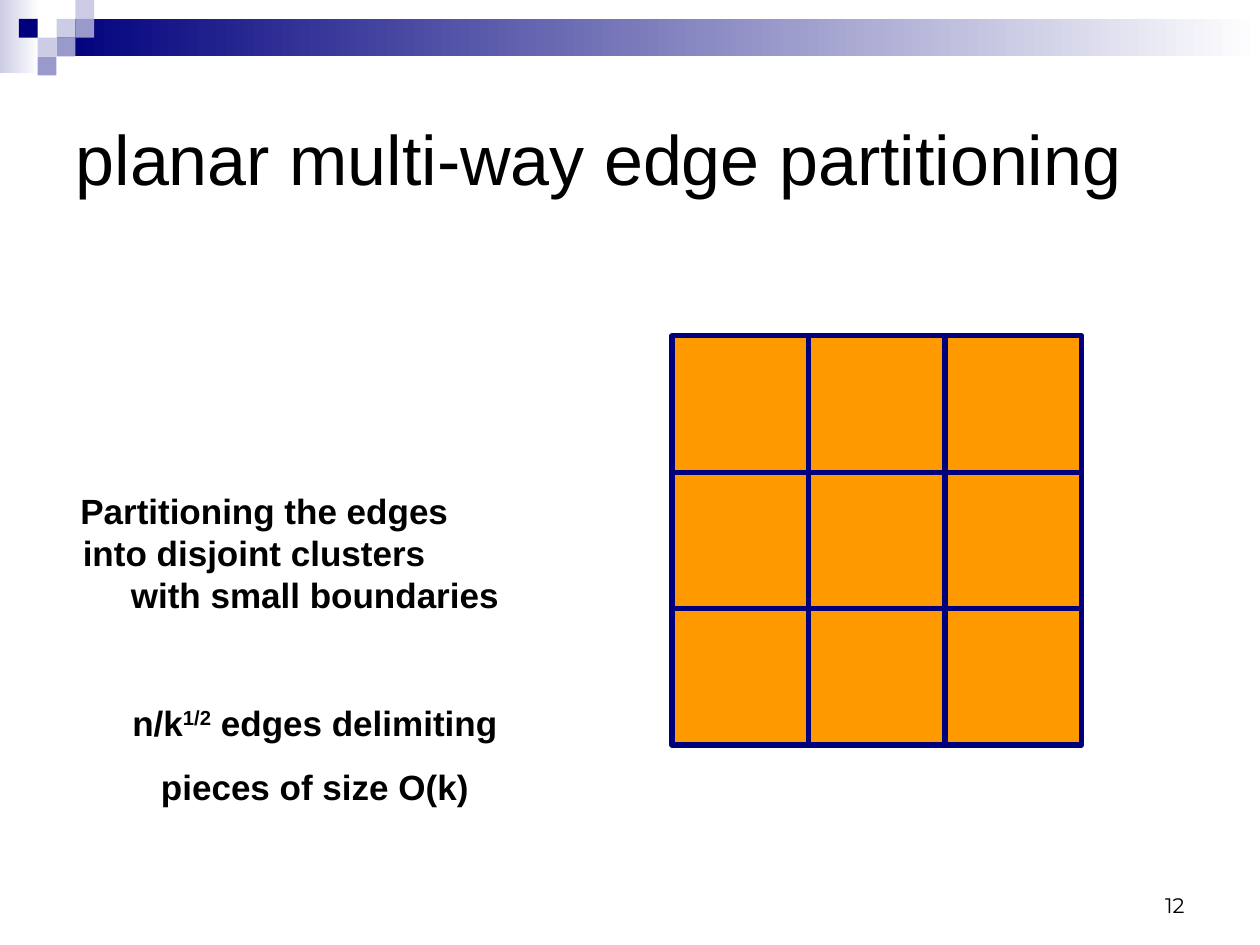
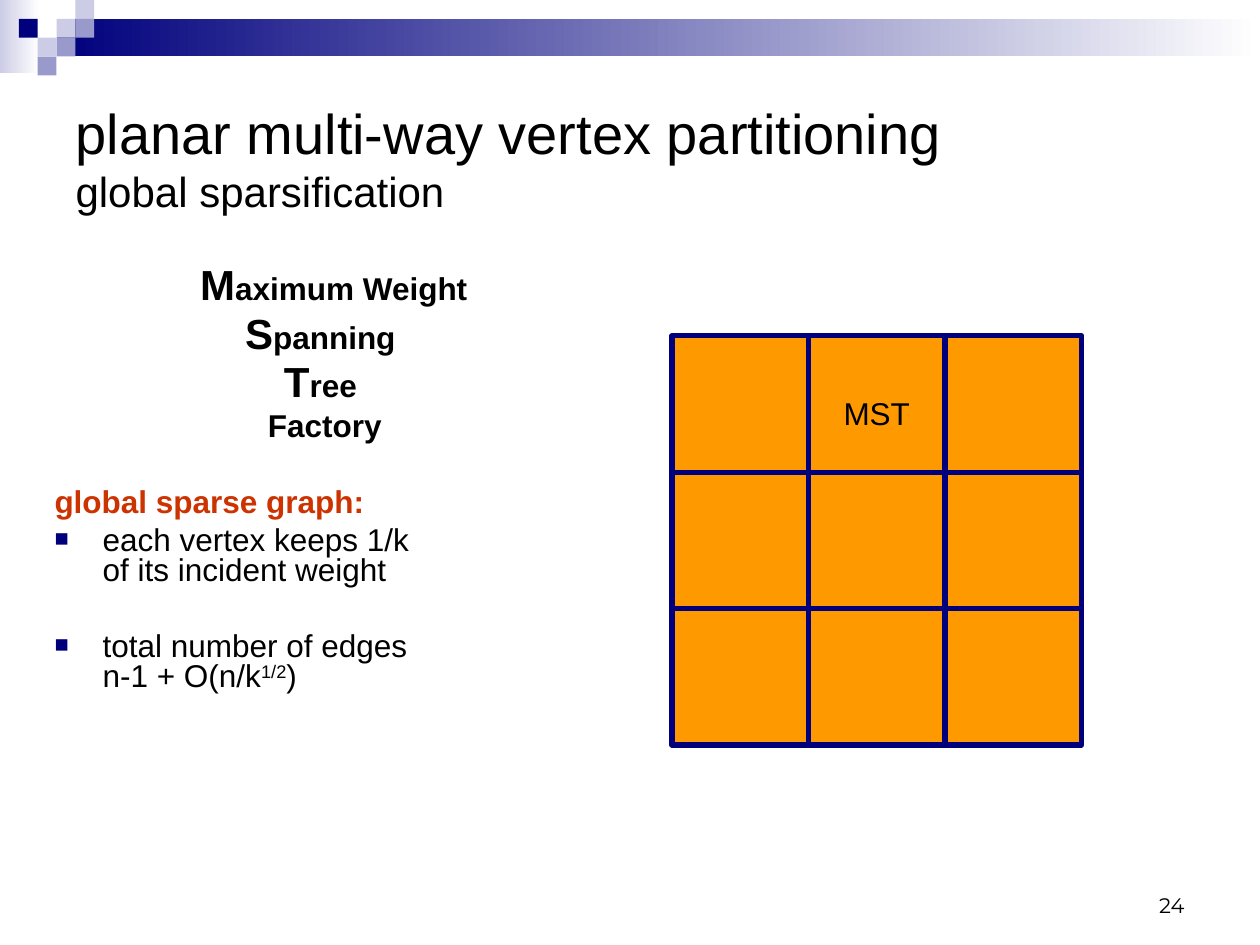
from dataclasses import dataclass
from typing import Optional

from lxml.etree import SubElement
from pptx import Presentation
from pptx.dml.color import RGBColor
from pptx.enum.shapes import MSO_SHAPE
from pptx.enum.text import MSO_ANCHOR, MSO_AUTO_SIZE, PP_ALIGN
from pptx.oxml.ns import qn
from pptx.shapes.autoshape import Shape
from pptx.slide import Slide, SlideLayout
from pptx.text.text import TextFrame
from pptx.util import Cm, Pt

COLORS = {
    "navy": "00007D",
    "periwinkle": "9999CC",
    "lavender": "CCCCE6",
    "white": "FFFFFF",
    "orange": "FF9900",
    "red": "CC3300",
    "black": "000000",
}
SQUARE = 0.38  # header pattern unit, cm
CELL = 2.75  # side of one cluster, cm
GRID_LEFT, GRID_TOP, GRID_SIZE = 13.55, 6.77, 3


@dataclass(frozen=True)
class Box:
    left: float
    top: float
    width: float
    height: float

    def lengths(self) -> tuple[Cm, Cm, Cm, Cm]:
        return Cm(self.left), Cm(self.top), Cm(self.width), Cm(self.height)


@dataclass(frozen=True)
class Span:
    text: str
    size: Optional[float] = None
    superscript: bool = False


@dataclass(frozen=True)
class Line:
    spans: tuple[Span, ...]
    size: float = 18
    bold: bool = False
    color: str = "black"
    font: str = "Arial"
    align: PP_ALIGN = PP_ALIGN.LEFT
    indent: float = 0
    before: float = 0
    spacing: float = 1
    bullet: bool = False


HEADER_SQUARES = (  # column, row, colour
    (3, 1, "lavender"),
    (4, 0, "lavender"),
    (4, 1, "periwinkle"),
    (2, 2, "lavender"),
    (1, 1, "navy"),
    (3, 2, "periwinkle"),
    (2, 3, "periwinkle"),
)


def rgb(name: str) -> RGBColor:
    return RGBColor.from_string(COLORS[name])


def add_rectangle(slide: Slide, box: Box) -> Shape:
    rectangle = slide.shapes.add_shape(MSO_SHAPE.RECTANGLE, *box.lengths())
    rectangle.shadow.inherit = False
    rectangle.line.fill.background()
    return rectangle


def add_fading_band(slide: Slide, box: Box, color: str) -> Shape:
    band = add_rectangle(slide, box)
    band.fill.gradient()
    band.fill.gradient_angle = 0
    for stop, name in zip(band.fill.gradient_stops, (color, "white")):
        stop.color.rgb = rgb(name)
    return band


def add_header(slide: Slide, layout: SlideLayout) -> None:
    """Draw the header pattern and move it to the layout, so all slides share it."""
    pattern = [
        add_fading_band(slide, Box(0, 0, 0.79, 1.47), "lavender"),
        add_fading_band(slide, Box(3 * SQUARE, SQUARE, 24.26, 2 * SQUARE), "navy"),
    ]
    for column, row, color in HEADER_SQUARES:
        square = add_rectangle(slide, Box(column * SQUARE, row * SQUARE, SQUARE, SQUARE))
        square.fill.solid()
        square.fill.fore_color.rgb = rgb(color)
        pattern.append(square)
    for piece in pattern:
        layout.shapes.element.append(piece.element)


def write_lines(frame: TextFrame, lines: tuple[Line, ...]) -> None:
    frame.word_wrap = True
    frame.auto_size = MSO_AUTO_SIZE.NONE
    for index, line in enumerate(lines):
        paragraph = frame.add_paragraph() if index else frame.paragraphs[0]
        properties = paragraph._p.get_or_add_pPr()
        properties.set("marL", str(Cm(line.indent)))
        properties.set("indent", str(-Cm(line.indent) if line.bullet else 0))
        if line.bullet:
            color = SubElement(properties, qn("a:buClr"))
            SubElement(color, qn("a:srgbClr"), val=COLORS["navy"])
            SubElement(properties, qn("a:buSzPct"), val="75000")
            SubElement(properties, qn("a:buFont"), typeface="Arial")
            SubElement(properties, qn("a:buChar"), char="■")
        paragraph.alignment = line.align
        paragraph.line_spacing = line.spacing
        paragraph.space_before = Pt(line.before)
        paragraph.font.name = line.font
        paragraph.font.size = Pt(line.size)
        paragraph.font.bold = line.bold
        paragraph.font.color.rgb = rgb(line.color)
        for span in line.spans:
            for position, text in enumerate(span.text.split("\n")):
                if position:
                    paragraph.add_line_break()
                if not text:
                    continue
                run = paragraph.add_run()
                run.text = text
                if span.size:
                    run.font.size = Pt(span.size)
                if span.superscript:
                    run._r.get_or_add_rPr().set("baseline", "30000")


def add_text(slide: Slide, box: Box, *lines: Line, anchor: MSO_ANCHOR = MSO_ANCHOR.TOP) -> None:
    frame = slide.shapes.add_textbox(*box.lengths()).text_frame
    frame.vertical_anchor = anchor
    write_lines(frame, lines)


def set_title(slide: Slide, line: Line) -> None:
    title = slide.shapes.title
    title.left, title.top, title.width, title.height = Box(1.27, 1.27, 22.86, 3.81).lengths()
    title.text_frame.vertical_anchor = MSO_ANCHOR.MIDDLE
    write_lines(title.text_frame, (line,))


def add_cluster_grid(slide: Slide) -> None:
    for row in range(GRID_SIZE):
        for column in range(GRID_SIZE):
            cluster = add_rectangle(
                slide, Box(GRID_LEFT + column * CELL, GRID_TOP + row * CELL, CELL, CELL)
            )
            cluster.fill.solid()
            cluster.fill.fore_color.rgb = rgb("orange")
            cluster.line.color.rgb = rgb("navy")
            cluster.line.width = Pt(3)


def add_page_number(slide: Slide, number: int) -> None:
    add_text(
        slide,
        Box(18.2, 17.36, 5.93, 1.27),
        Line((Span(str(number)),), size=12, font="Montserrat", align=PP_ALIGN.RIGHT),
        anchor=MSO_ANCHOR.BOTTOM,
    )


def edge_line(*spans: Span, **style) -> Line:
    return Line(spans, size=20, bold=True, **style)


def factory_line(*spans: Span, **style) -> Line:
    return Line(spans, bold=True, spacing=0.8, align=PP_ALIGN.CENTER, **style)


def sparse_bullet(*spans: Span, before: float) -> Line:
    return Line(spans, spacing=0.8, indent=0.97, bullet=True, before=before)


def build_edge_slide(slide: Slide) -> None:
    set_title(slide, Line((Span("planar multi-way edge partitioning"),), size=40))
    add_cluster_grid(slide)
    add_text(
        slide,
        Box(0.85, 9.74, 11, 7.94),
        edge_line(Span("Partitioning the edges"), indent=0.52),
        edge_line(Span("into disjoint clusters"), indent=0.57),
        edge_line(Span("with small boundaries"), align=PP_ALIGN.CENTER),
        edge_line(
            Span("n/k"),
            Span("1/2", superscript=True),
            Span(" edges delimiting"),
            align=PP_ALIGN.CENTER,
            before=49,
        ),
        edge_line(Span("pieces of size O(k)"), align=PP_ALIGN.CENTER, before=12.5),
    )
    add_page_number(slide, 12)


def build_vertex_slide(slide: Slide) -> None:
    set_title(
        slide,
        Line(
            (Span("planar multi-way vertex partitioning\n"), Span("global sparsification", 24)),
            size=32,
        ),
    )
    add_text(
        slide,
        Box(0.85, 5.29, 11.22, 10.8),
        factory_line(Span("M", 24), Span("aximum Weight"), indent=0.54),
        factory_line(Span("S", 24), Span("panning"), before=4.5),
        factory_line(Span("T", 24), Span("ree"), before=4.5),
        factory_line(Span("Factory"), before=4.5, indent=0.18),
        Line((Span("global sparse graph:"),), bold=True, color="red", spacing=0.8, before=26),
        sparse_bullet(Span("each vertex keeps 1/k\nof its incident weight"), before=4.5),
        sparse_bullet(
            Span("total number of edges\nn-1 + O(n/k"),
            Span("1/2", superscript=True),
            Span(")"),
            before=26,
        ),
    )
    add_cluster_grid(slide)
    add_text(
        slide, Box(16.51, 7.82, 2.33, 1.02), Line((Span("MST"),), align=PP_ALIGN.CENTER)
    )
    add_page_number(slide, 24)


def main() -> None:
    presentation = Presentation()
    presentation.slide_width, presentation.slide_height = Cm(25.4), Cm(19.05)
    title_only = presentation.slide_layouts[5]
    edge_slide = presentation.slides.add_slide(title_only)
    add_header(edge_slide, title_only)
    build_edge_slide(edge_slide)
    build_vertex_slide(presentation.slides.add_slide(title_only))
    presentation.save("out.pptx")


if __name__ == "__main__":
    main()
